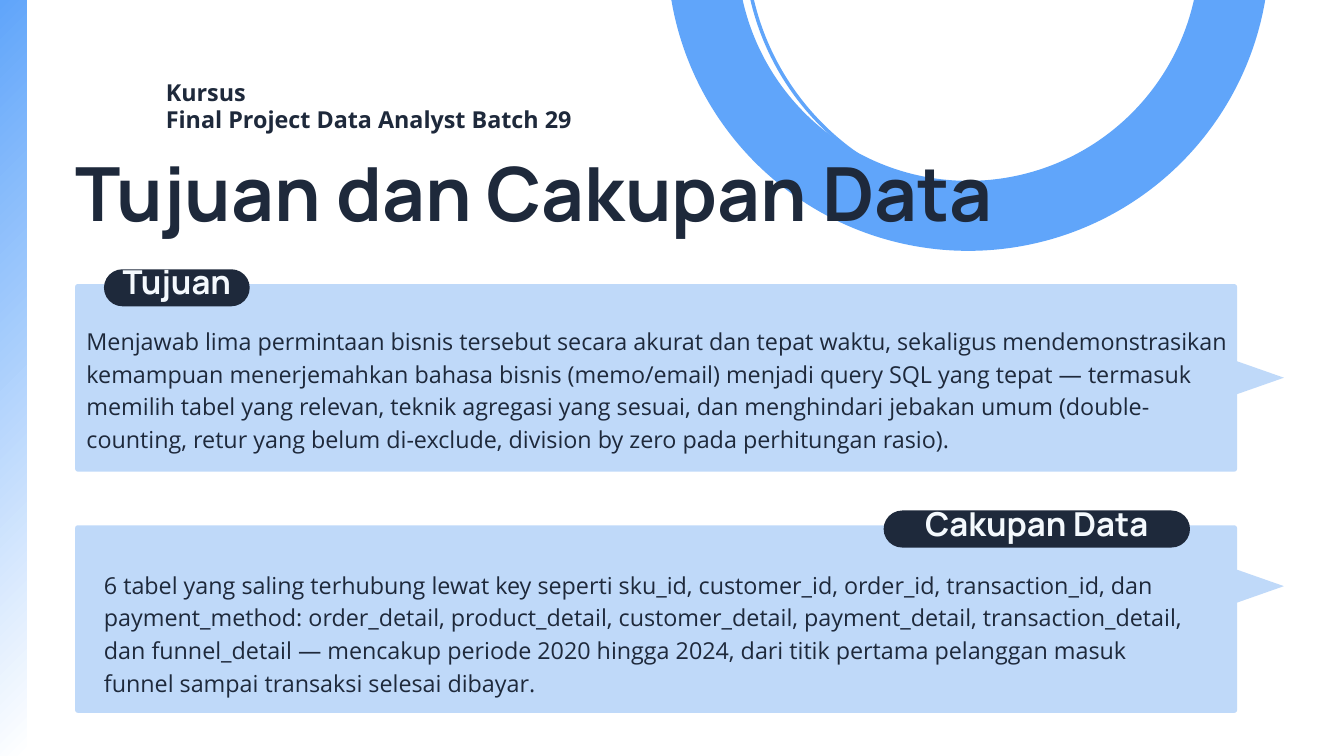
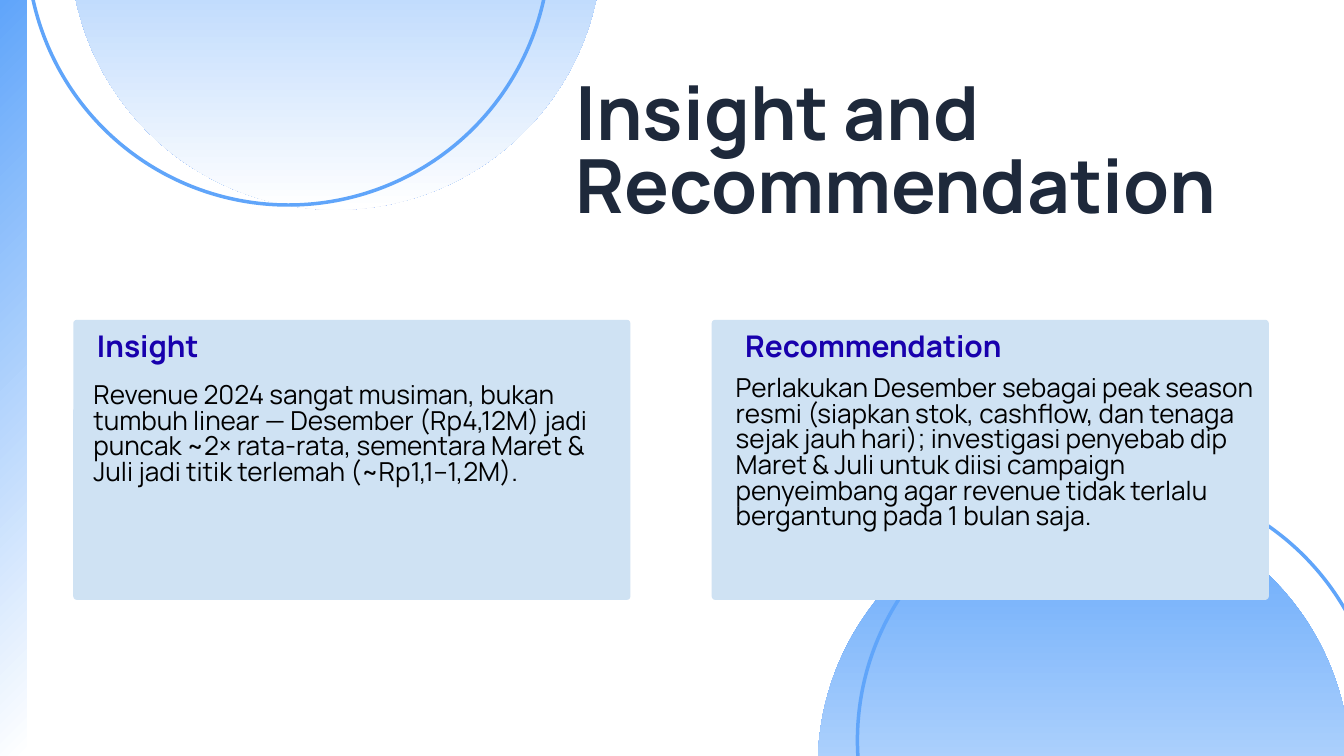
from pptx import Presentation
from pptx.dml.color import RGBColor
from pptx.enum.shapes import MSO_SHAPE
from pptx.enum.text import MSO_ANCHOR, MSO_AUTO_SIZE, PP_ALIGN
from pptx.util import Cm, Pt

OVAL, DIAMOND = MSO_SHAPE.OVAL, MSO_SHAPE.DIAMOND
RECTANGLE, ROUNDED = MSO_SHAPE.RECTANGLE, MSO_SHAPE.ROUNDED_RECTANGLE
LEFT, CENTER = PP_ALIGN.LEFT, PP_ALIGN.CENTER
TOP, NO_FIT = MSO_ANCHOR.TOP, MSO_AUTO_SIZE.NONE

COLORS = {
    "blue": "60A5FA",
    "white": "FFFFFF",
    "navy": "1E293B",
    "panel": "BFD9F9",
    "card": "CFE2F3",
    "pill_text": "F4F9FD",
    "heading": "1800AD",
    "black": "000000",
}
HEAD_FONT, BODY_FONT = "Manrope", "Open Sans"
PAGE_WIDTH, PAGE_HEIGHT = 50.8, 28.58
DISC_SIZE, RING_SIZE = 20.12, 19.76


def rgb(name):
    return RGBColor.from_string(COLORS[name])


# Shared building blocks; a box is (left, top, width, height) in cm
def add_figure(page, kind, box, fill=None, line=None, line_width=3.75, corner=None):
    figure = page.shapes.add_shape(kind, *map(Cm, box))
    figure.shadow.inherit = False
    if fill:
        figure.fill.solid()
        figure.fill.fore_color.rgb = rgb(fill)
    else:
        figure.fill.background()
    if line:
        figure.line.color.rgb = rgb(line)
        figure.line.width = Pt(line_width)
    else:
        figure.line.fill.background()
    if corner is not None:
        figure.adjustments[0] = corner
    return figure


def fade_to_white(figure, angle):
    figure.fill.gradient()
    figure.fill.gradient_angle = angle
    for stop, color, position in zip(figure.fill.gradient_stops, ("blue", "white"), (0, 1)):
        stop.color.rgb = rgb(color)
        stop.position = position


def write(shape, text, size, spacing, color, font=HEAD_FONT, bold=False, align=LEFT):
    frame = shape.text_frame
    frame.text = text
    frame.word_wrap = True
    frame.auto_size = NO_FIT
    frame.vertical_anchor = TOP
    frame.margin_left = frame.margin_top = frame.margin_right = frame.margin_bottom = 0
    para = frame.paragraphs[0]
    para.alignment = align
    para.line_spacing = Pt(spacing)
    para.space_before = Pt(0)
    for span in para.runs:
        span.font.name = font
        span.font.size = Pt(size)
        span.font.bold = bold
        span.font.color.rgb = rgb(color)


def add_text(page, box, text, *style, **options):
    write(page.shapes.add_textbox(*map(Cm, box)), text, *style, **options)


def add_page(deck):
    page = deck.slides.add_slide(deck.slide_layouts[5])
    band = add_figure(page, RECTANGLE, (0, 0, 1.02, PAGE_HEIGHT))
    fade_to_white(band, 315)
    return page


def set_title(page, box, text):
    title = page.shapes.title
    title.left, title.top, title.width, title.height = map(Cm, box)
    write(title, text, 80, 78.4, "navy", bold=True)
    # Bring the title in front of the circles
    title.element.getparent().append(title.element)


def add_ring(page, left, top):
    add_figure(page, OVAL, (left, top, RING_SIZE, RING_SIZE), line="blue")


def add_disc(page, left, top):
    disc = add_figure(page, OVAL, (left, top, DISC_SIZE, DISC_SIZE))
    fade_to_white(disc, 270)


# Regions: offsets are relative to the box
def add_panel(page, box, label, pill_span, text, text_box, pointer_top):
    left, top, width, _ = box
    add_figure(page, ROUNDED, box, fill="panel", corner=0.015)
    add_figure(page, DIAMOND, (left + width - 1.76, top + pointer_top, 3.53, 1.24), fill="panel")

    pill_left, pill_width = pill_span
    pill_box = (left + pill_left, top - 0.56, pill_width, 1.4)
    add_figure(page, ROUNDED, pill_box, fill="navy", corner=0.5)
    add_text(page, pill_box, label, 35.3, 34.6, "pill_text", bold=True, align=CENTER)

    text_left, text_top, text_width = text_box
    add_text(page, (left + text_left, top + text_top, text_width, 4.83),
             text, 25, 35, "navy", font=BODY_FONT)


def add_card(page, box, heading, heading_span, text, text_box):
    left, top = box[:2]
    add_figure(page, ROUNDED, box, fill="card", corner=0.013)
    text_left, text_top, text_width, text_height = text_box
    add_text(page, (left + text_left, top + text_top, text_width, text_height),
             text, 28, 27.4, "black")
    heading_left, heading_width = heading_span
    add_text(page, (left + heading_left, top + 0.56, heading_width, 1.22),
             heading, 32, 31.4, "heading", bold=True, align=CENTER)


# Slides
def build_scope(deck):
    page = add_page(deck)
    add_figure(page, OVAL, (26.54, -11.96, DISC_SIZE, DISC_SIZE), line="blue", line_width=75)
    add_ring(page, 28.17, -12.14)

    header = ("Kursus", "Final Project Data Analyst Batch 29")
    for row, text in enumerate(header):
        add_text(page, (6.27, 2.77 + row * 1.04, 15.67, 1.14),
                 text, 25, 35, "navy", font=BODY_FONT, bold=True)
    set_title(page, (2.84, 6.17, 42.14, 3.12), "Tujuan dan Cakupan Data")

    panels = (
        ("Tujuan", (1.09, 5.51),
         "Menjawab lima permintaan bisnis tersebut secara akurat dan tepat waktu, sekaligus "
         "mendemonstrasikan kemampuan menerjemahkan bahasa bisnis (memo/email) menjadi query SQL "
         "yang tepat — termasuk memilih tabel yang relevan, teknik agregasi yang sesuai, dan "
         "menghindari jebakan umum (double-counting, retur yang belum di-exclude, division by "
         "zero pada perhitungan rasio).",
         (0.43, 1.45, 43.5), 2.92),
        ("Cakupan Data", (30.56, 11.58),
         "6 tabel yang saling terhubung lewat key seperti sku_id, customer_id, order_id, "
         "transaction_id, dan payment_method: order_detail, product_detail, customer_detail, "
         "payment_detail, transaction_detail, dan funnel_detail — mencakup periode 2020 hingga "
         "2024, dari titik pertama pelanggan masuk funnel sampai transaksi selesai dibayar.",
         (1.09, 1.55, 41.07), 1.68),
    )
    for row, panel in enumerate(panels):
        add_panel(page, (2.84, 10.74 + row * 9.12, 43.92, 7.09), *panel)


def build_insight(deck):
    page = add_page(deck)
    add_disc(page, 30.91, 18.92)
    add_ring(page, 32.41, 18.11)
    add_disc(page, 2.64, -12.19)
    add_ring(page, 1.02, -12.01)
    set_title(page, (21.74, 3.1, 26.19, 5.89), "Insight and Recommendation")

    cards = (
        ("Insight", (-2.26, 10.16),
         "Revenue 2024 sangat musiman, bukan tumbuh linear — Desember (Rp4,12M) jadi puncak "
         "~2× rata-rata, sementara Maret & Juli jadi titik terlemah (~Rp1,1–1,2M).",
         (0.76, 2.44, 19.69, 5.84)),
        ("Recommendation", (0.91, 10.41),
         "Perlakukan Desember sebagai peak season resmi (siapkan stok, cashflow, dan tenaga "
         "sejak jauh hari); investigasi penyebab dip Maret & Juli untuk diisi campaign "
         "penyeimbang agar revenue tidak terlalu bergantung pada 1 bulan saja.",
         (0.91, 2.18, 20.29, 7.75)),
    )
    for column, card in enumerate(cards):
        add_card(page, (2.77 + column * 24.13, 12.09, 21.06, 10.59), *card)


def main():
    deck = Presentation()
    deck.slide_width, deck.slide_height = Cm(PAGE_WIDTH), Cm(PAGE_HEIGHT)
    build_scope(deck)
    build_insight(deck)
    deck.save("out.pptx")


if __name__ == "__main__":
    main()
